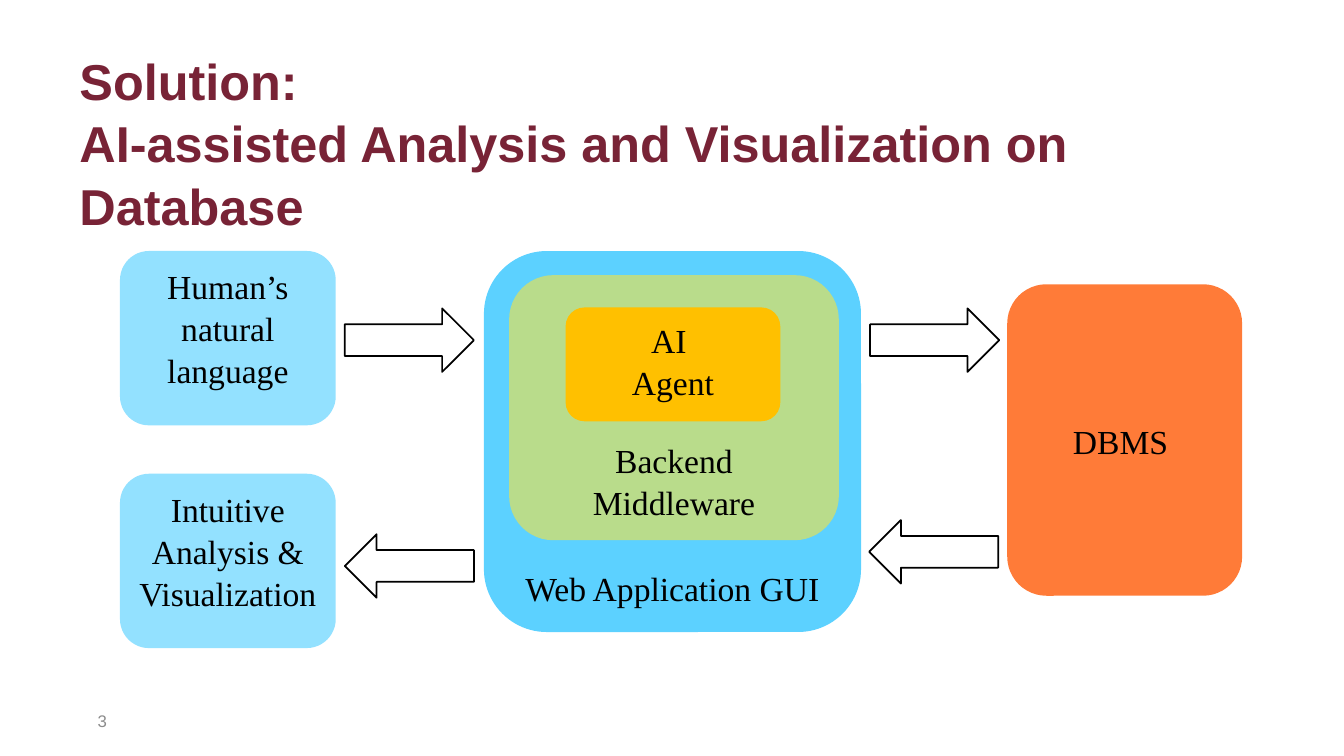
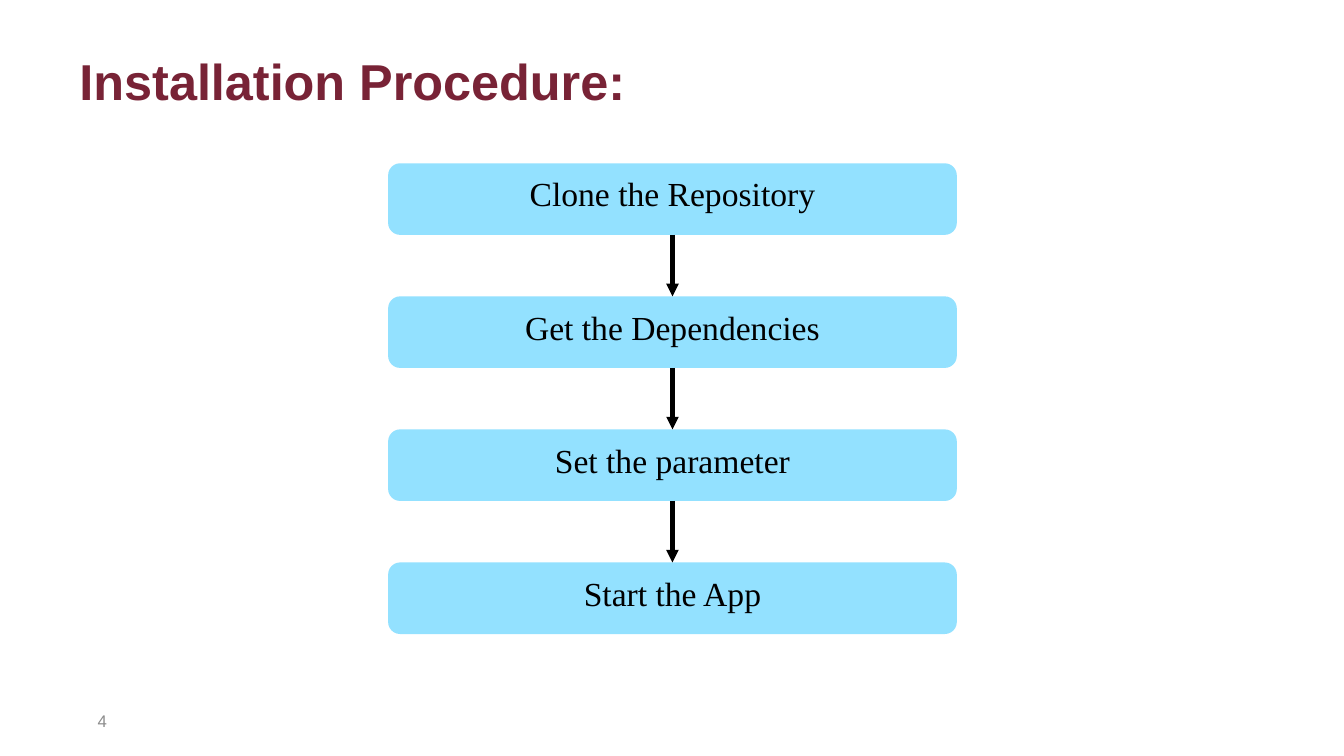
from itertools import pairwise

from lxml.etree import SubElement
from pptx import Presentation
from pptx.dml.color import RGBColor
from pptx.enum.shapes import MSO_CONNECTOR, MSO_SHAPE
from pptx.enum.text import MSO_ANCHOR, PP_ALIGN
from pptx.oxml.ns import qn
from pptx.util import Inches, Pt

MAROON = RGBColor(0x78, 0x23, 0x36)
GRAY = RGBColor(0x8C, 0x8C, 0x8C)
BLACK = RGBColor(0x00, 0x00, 0x00)
PALE_BLUE = RGBColor(0x93, 0xE1, 0xFF)
BLUE = RGBColor(0x5C, 0xD1, 0xFF)
GREEN = RGBColor(0xB9, 0xDC, 0x8B)
AMBER = RGBColor(0xFF, 0xC0, 0x00)
ORANGE = RGBColor(0xFF, 0x7B, 0x38)

TITLE = {"font": {"name": "Arial", "size": Pt(36), "bold": True}, "color": MAROON,
         "align": PP_ALIGN.LEFT, "spacing": 1.04}
NUMBER = {"font": {"name": "Arial", "size": Pt(12)}, "color": GRAY,
          "align": PP_ALIGN.RIGHT, "spacing": 1.0}
LABEL = {"font": {"name": "Times New Roman", "size": Pt(24)}, "color": BLACK,
         "align": PP_ALIGN.CENTER, "spacing": 1.04}


def write(shape, text, style, anchor=MSO_ANCHOR.TOP):
    frame = shape.text_frame
    frame.word_wrap = True
    frame.vertical_anchor = anchor
    frame.text = text
    for para in frame.paragraphs:
        para.alignment = style["align"]
        para.line_spacing = style["spacing"]
        for span in para.runs:
            span.font.color.rgb = style["color"]
            for name, value in style["font"].items():
                setattr(span.font, name, value)


def add_box(page, text, place, color, anchor=MSO_ANCHOR.TOP):
    box = page.shapes.add_shape(MSO_SHAPE.ROUNDED_RECTANGLE, *map(Inches, place))
    box.shadow.inherit = False
    box.fill.solid()
    box.fill.fore_color.rgb = color
    box.line.fill.background()
    write(box, text, LABEL, anchor)
    return box


deck = Presentation()
deck.slide_width = Inches(13.33)
deck.slide_height = Inches(7.5)

titles = [
    "Solution:\vAI-assisted Analysis and Visualization on Database",
    "Installation Procedure:",
]
pages = []
for number, title in enumerate(titles, 3):
    page = deck.slides.add_slide(deck.slide_layouts[6])
    title_box = page.shapes.add_textbox(Inches(0.69), Inches(0.42), Inches(11.33), Inches(1.25))
    write(title_box, title, TITLE)
    number_box = page.shapes.add_textbox(Inches(0.69), Inches(6.95), Inches(0.47), Inches(0.4))
    write(number_box, str(number), NUMBER, MSO_ANCHOR.MIDDLE)
    pages.append(page)

solution, procedure = pages

components = [
    ("Human’s natural language", (1.19, 2.49, 2.14, 1.73), PALE_BLUE, MSO_ANCHOR.TOP),
    ("Intuitive Analysis & Visualization", (1.19, 4.7, 2.14, 1.73), PALE_BLUE, MSO_ANCHOR.TOP),
    ("Web Application GUI", (4.8, 2.49, 3.74, 3.78), BLUE, MSO_ANCHOR.BOTTOM),
    ("DBMS ", (9.99, 2.82, 2.33, 3.09), ORANGE, MSO_ANCHOR.MIDDLE),
    ("Backend Middleware", (5.05, 2.73, 3.27, 2.63), GREEN, MSO_ANCHOR.BOTTOM),
    ("AI \nAgent", (5.61, 3.05, 2.13, 1.13), AMBER, MSO_ANCHOR.TOP),
]
for text, place, color, anchor in components:
    add_box(solution, text, place, color, anchor)

flows = [
    (MSO_SHAPE.RIGHT_ARROW, 3.42, 3.06),
    (MSO_SHAPE.LEFT_ARROW, 3.42, 5.3),
    (MSO_SHAPE.RIGHT_ARROW, 8.63, 3.06),
    (MSO_SHAPE.LEFT_ARROW, 8.62, 5.16),
]
for preset, left, top in flows:
    arrow = solution.shapes.add_shape(preset, Inches(left), Inches(top), Inches(1.28), Inches(0.63))
    arrow.shadow.inherit = False
    arrow.fill.background()
    arrow.line.color.rgb = BLACK
    arrow.line.width = Pt(1.25)

steps = ["Clone the Repository", "Get the Dependencies", "Set the parameter", "Start the App"]
step_boxes = [
    add_box(procedure, step, (3.85, 1.62 + 1.32 * index, 5.64, 0.71), PALE_BLUE)
    for index, step in enumerate(steps)
]
for upper, lower in pairwise(step_boxes):
    link = procedure.shapes.add_connector(MSO_CONNECTOR.STRAIGHT, 0, 0, 0, 0)
    link.begin_connect(upper, 2)
    link.end_connect(lower, 0)
    link.line.color.rgb = BLACK
    link.line.width = Pt(3)
    SubElement(link.line._get_or_add_ln(), qn("a:tailEnd"), type="triangle")
    SubElement(link._element.spPr, qn("a:effectLst"))

deck.save("out.pptx")
